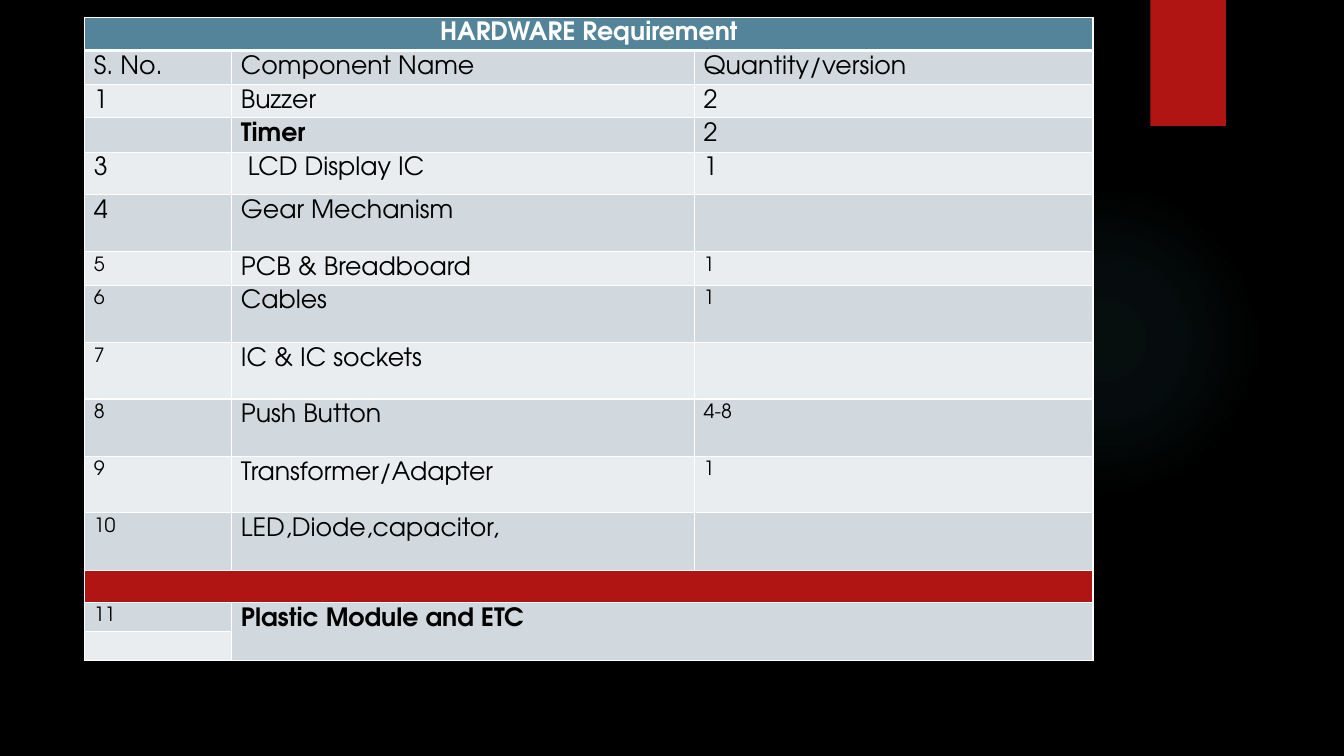
from lxml.etree import SubElement
from pptx import Presentation
from pptx.dml.color import RGBColor
from pptx.enum.shapes import MSO_SHAPE as Shape
from pptx.enum.text import PP_ALIGN as Align
from pptx.oxml import parse_xml
from pptx.oxml.ns import nsdecls, qn
from pptx.util import Inches, Pt

# Content: height, then number, component, quantity
FONT = "TeX Gyre Adventor"
RED, HEAD, DARK, LIGHT = "B01513", "54849A", "D1D9DE", "E9EDEF"
COLS = [1.46, 4.59, 3.95]
ROWS = [
    (0.33, "HARDWARE Requirement", "", ""),
    (0.34, "S. No.", "Component Name", "Quantity/version"),
    (0.33, "1", "Buzzer", "2"),
    (0.34, "", "Timer", "2"),
    (0.42, "3", " LCD Display IC", "1"),
    (0.57, "4", "Gear Mechanism", ""),
    (0.33, "5", "PCB & Breadboard", "1"),
    (0.57, "6", "Cables", "1"),
    (0.56, "7", "IC & IC sockets", ""),
    (0.57, "8", "Push Button", "4-8"),
    (0.56, "9", "Transformer/Adapter", "1"),
    (0.57, "10", "LED,Diode,capacitor,", ""),
    (0.32, "", "", ""),
    (0.29, "11", "Plastic Module and ETC", ""),
    (0.28, "", "", ""),
]
BAR = 12                                    # the red row
SMALL = 6                                   # first row with small figures
BOLD = {"HARDWARE Requirement", "Timer", "Plastic Module and ETC"}
MERGES = [((0, 0), (0, 2)), ((BAR, 0), (BAR, 2)), ((13, 1), (14, 2))]
GLOW = [(0, 7), (36, 6), (69, 0), (100, 0)]  # position, opacity in percent


def paint(fill, color):
    fill.solid()
    fill.fore_color.rgb = RGBColor.from_string(color)


def write(frame, text, size=18, color="000000", bold=False, align=Align.LEFT):
    para = frame.paragraphs[0]
    para.alignment = align
    if not text:
        SubElement(para._p, qn("a:endParaRPr"), sz=str(size * 100))
        return
    run = para.add_run()
    run.text = text
    font = run.font
    font.name, font.size, font.bold = FONT, Pt(size), bold
    font.color.rgb = RGBColor.from_string(color)


def border(cell, low):
    props = cell._tc.get_or_add_tcPr()
    for side in "LRTB":
        width = low if side == "B" else 1
        props.append(parse_xml(
            f'<a:ln{side} {nsdecls("a")} w="{Pt(width)}"><a:solidFill>'
            f'<a:srgbClr val="FFFFFF"/></a:solidFill></a:ln{side}>'))


def shape(kind, *box):
    item = slide.shapes.add_shape(kind, *map(Inches, box))
    item.shadow.inherit = False
    item.line.fill.background()
    return item


# Slide
prs = Presentation()
prs.slide_width, prs.slide_height = Inches(13.33), Inches(7.5)
slide = prs.slides.add_slide(prs.slide_layouts[6])
paint(slide.background.fill, "000000")

# Soft glow and red tab
glow = shape(Shape.OVAL, 9.41, 1.83, 3.08, 3.08)
stops = "".join(
    f'<a:gs pos="{pos * 1000}"><a:srgbClr val="50B9C1">'
    f'<a:alpha val="{alpha * 1000}"/></a:srgbClr></a:gs>'
    for pos, alpha in GLOW)
geom = glow._element.spPr.find(qn("a:prstGeom"))
geom.addnext(parse_xml(
    f'<a:gradFill {nsdecls("a")}><a:gsLst>{stops}</a:gsLst><a:path path="circle">'
    '<a:fillToRect l="50000" t="50000" r="50000" b="50000"/></a:path></a:gradFill>'))
tab = shape(Shape.RECTANGLE, 11.41, 0, 0.75, 1.25)
paint(tab.fill, RED)

# Table
high = sum(row[0] for row in ROWS)
table = slide.shapes.add_table(
    len(ROWS), len(COLS), Inches(0.84), Inches(0.17),
    Inches(sum(COLS)), Inches(high)).table
for col, width in zip(table.columns, COLS):
    col.width = Inches(width)
for r, (height, *texts) in enumerate(ROWS):
    table.rows[r].height = Inches(height)
    band = DARK if r % 2 else LIGHT
    back = {0: HEAD, BAR: RED}.get(r, band)
    for c, text in enumerate(texts):
        cell = table.cell(r, c)
        cell.margin_left = cell.margin_right = Inches(0.09)
        cell.margin_top, cell.margin_bottom = Inches(0.05), 0
        border(cell, 3 if r == 0 else 1)
        paint(cell.fill, back)
        small = not text or (r >= SMALL and c != 1)
        write(cell.text_frame, text, size=14 if small else 18,
              color="000000" if r else "FFFFFF", bold=text in BOLD,
              align=Align.LEFT if r else Align.CENTER)
for first, last in MERGES:
    table.cell(*first).merge(table.cell(*last))

prs.save("out.pptx")
